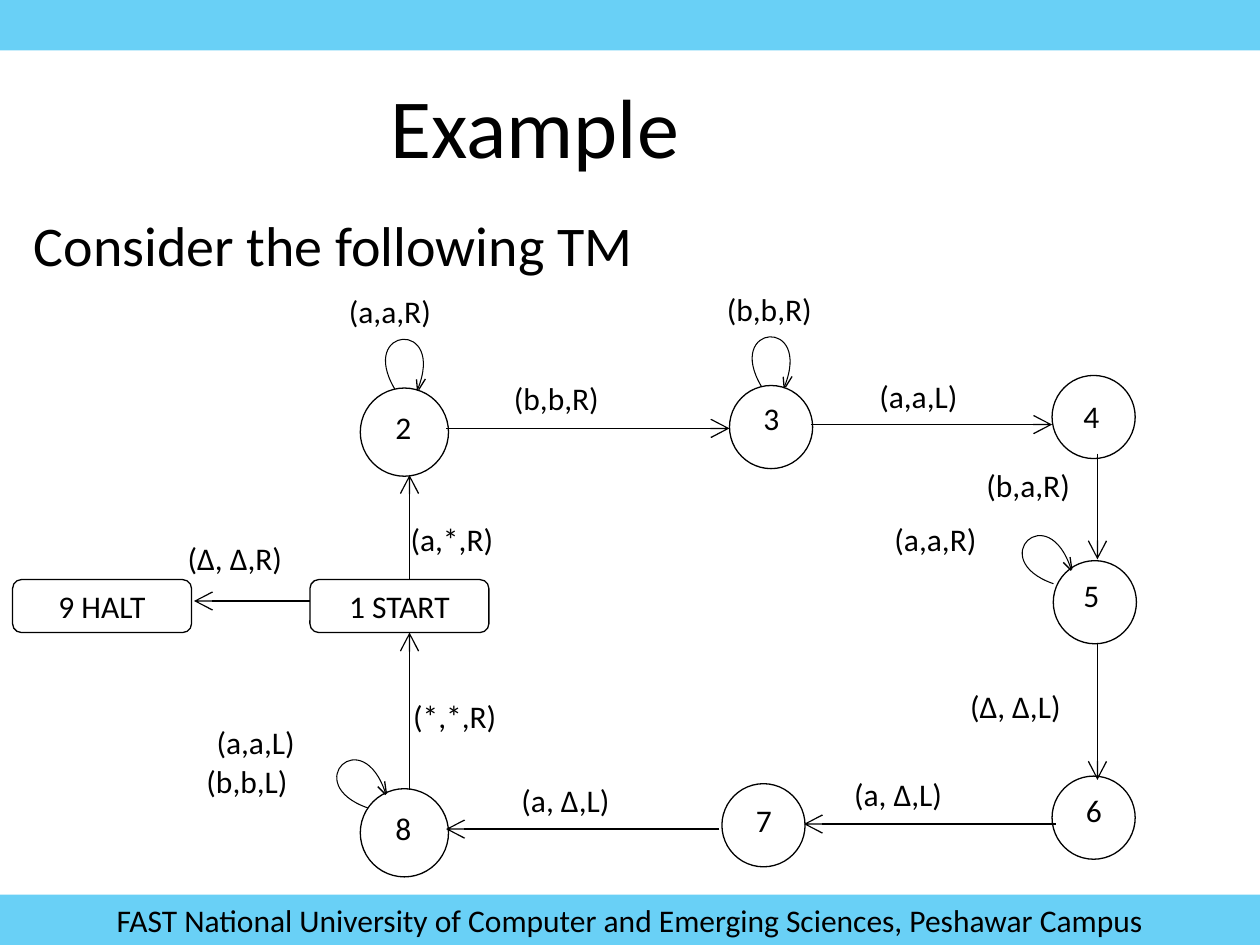
from lxml import etree
from pptx import Presentation
from pptx.dml.color import RGBColor
from pptx.enum import shapes, text
from pptx.oxml.ns import qn
from pptx.util import Inches, Pt

BLACK = RGBColor(0x00, 0x00, 0x00)
WHITE = RGBColor(0xFF, 0xFF, 0xFF)
SKY = RGBColor(0x00, 0xB0, 0xF0)
FONT = "Calibri"

# All diagram places are in inches from the diagram's top-left corner.
# States: number, circle left, top, diameter, number left, top
STATES = [
    ("2", 2.76, 0.83, 0.7, 2.94, 0.94),
    ("3", 5.69, 0.81, 0.66, 5.86, 0.87),
    ("4", 8.25, 0.73, 0.66, 8.4, 0.85),
    ("5", 8.26, 2.2, 0.66, 8.4, 2.27),
    ("6", 8.25, 3.91, 0.66, 8.42, 3.98),
    ("7", 5.63, 3.97, 0.66, 5.8, 4.06),
    ("8", 2.76, 4.01, 0.7, 2.94, 4.12),
]
TERMINALS = [("1 START", 2.36, 2.35), ("9 HALT", 0, 2.35)]

# Transitions: from x, y, to x, y
ARROWS = [
    (2.36, 2.52, 1.44, 2.52),
    (3.15, 2.35, 3.15, 1.52),
    (3.15, 4.02, 3.15, 2.77),
    (5.61, 4.33, 3.44, 4.33),
    (8.28, 4.29, 6.28, 4.29),
    (8.61, 2.85, 8.61, 3.94),
    (3.44, 1.15, 5.69, 1.15),
    (6.34, 1.12, 8.25, 1.12),
    (8.61, 1.35, 8.61, 2.19),
]
LABELS = [
    ("(∆, ∆,R)", 1.29, 1.98), ("(a,*,R)", 3.06, 1.83),
    ("(*,*,R)", 3.08, 3.23), ("(a,a,L)", 1.52, 3.44),
    ("(b,b,L)", 1.44, 3.75), ("(a, ∆,L)", 3.94, 3.9),
    ("(a, ∆,L)", 6.58, 3.85), ("(∆, ∆,L)", 7.5, 3.15),
    ("(a,a,R)", 6.9, 1.83), ("(b,a,R)", 7.63, 1.4),
    ("(a,a,L)", 6.78, 0.69), ("(b,b,R)", 5.57, 0),
    ("(b,b,R)", 3.88, 0.71), ("(a,a,R)", 2.57, 0.02),
]

# Self-loops: one curve and two arrowhead strokes, turned to fit the state
LOOP_CURVE = [(0.34, 0.59), (0, 0.12), (0.7, 0), (0.52, 0.58)]
HEAD_STROKES = [[(0, 0.08), (0.06, 0)], [(0, 0), (0, 0.09)]]
# Loop angle, head angle, offset of each head stroke
UPRIGHT = (5, 355, [(0.5, 0.51), (0.49, 0.51)])
TILTED = (325, 315, [(0.62, 0.34), (0.62, 0.36)])
LOOPS = [(UPRIGHT, 5.63, 0.23), (UPRIGHT, 2.72, 0.25),
         (TILTED, 2.31, 3.62), (TILTED, 7.75, 1.84)]


def add_text(sp, words, size, align=text.PP_ALIGN.LEFT, wrap=True,
             anchor=text.MSO_ANCHOR.TOP):
    tf = sp.text_frame
    tf.auto_size = text.MSO_AUTO_SIZE.NONE
    tf.word_wrap = wrap
    tf.vertical_anchor = anchor
    p = tf.paragraphs[0]
    p.alignment = align
    r = p.add_run()
    r.text = words
    r.font.size = Pt(size)
    r.font.name = FONT
    r.font.color.rgb = BLACK


def add_label(s, words, left, top, width, height, size=18):
    box = s.shapes.add_textbox(left, top, width, height)
    add_text(box, words, size)


def outline(sp, fill=None, width=0.75):
    sp.shadow.inherit = False
    if fill is None:
        sp.fill.background()
    else:
        sp.fill.solid()
        sp.fill.fore_color.rgb = fill
    sp.line.color.rgb = BLACK
    sp.line.width = Pt(width)


def add_bar(s, left, top, width, height, words=None):
    bar = s.shapes.add_shape(shapes.MSO_SHAPE.RECTANGLE, left, top, width, height)
    bar.shadow.inherit = False
    bar.fill.solid()
    bar.fill.fore_color.rgb = SKY
    color = bar._element.spPr.find(qn("a:solidFill"))[0]
    etree.SubElement(color, qn("a:alpha")).set("val", "59000")
    bar.line.fill.background()
    if words:
        add_text(bar, words, 18, text.PP_ALIGN.CENTER)


def add_title(s, words, left, top, width, height):
    title = s.shapes.title
    title.left, title.top, title.width, title.height = left, top, width, height
    add_text(title, words, 48)


def add_arrow(s, x1, y1, x2, y2):
    arrow = s.shapes.add_connector(shapes.MSO_CONNECTOR.STRAIGHT, x1, y1, x2, y2)
    arrow.line.color.rgb = BLACK
    arrow.line.width = Pt(0.75)
    sp_pr = arrow._element.spPr
    head = etree.SubElement(sp_pr.find(qn("a:ln")), qn("a:tailEnd"))
    for key, value in (("type", "arrow"), ("w", "lg"), ("len", "lg")):
        head.set(key, value)
    etree.SubElement(sp_pr, qn("a:effectLst"))


def add_path(s, points, left, top, angle, width=0.75):
    start, *rest = [(left + Inches(x), top + Inches(y)) for x, y in points]
    builder = s.shapes.build_freeform(*start)
    builder.add_line_segments(rest, close=False)
    sp = builder.convert_to_shape()
    outline(sp, width=width)
    sp.rotation = angle
    return sp


def bend(sp):
    """Turn the three segments of an open outline into one Bezier curve."""
    segments = list(sp._element.iter(qn("a:lnTo")))
    curve = etree.SubElement(segments[0].getparent(), qn("a:cubicBezTo"))
    for segment in segments:
        curve.append(segment[0])
        segment.getparent().remove(segment)


def add_loop(s, style, left, top):
    loop_angle, head_angle, offsets = style
    bend(add_path(s, LOOP_CURVE, left, top, loop_angle, 0.6))
    for stroke, (x, y) in zip(HEAD_STROKES, offsets):
        add_path(s, stroke, left + Inches(x), top + Inches(y), head_angle)


def add_diagram(s, left, top):
    def at(x, y):
        return left + Inches(x), top + Inches(y)

    # State circles
    for _, x, y, size, _, _ in STATES:
        circle = s.shapes.add_shape(shapes.MSO_SHAPE.OVAL, *at(x, y),
                                    Inches(size), Inches(size))
        outline(circle, WHITE)

    # Self-loops
    for style, x, y in LOOPS:
        add_loop(s, style, *at(x, y))

    # Start and halt boxes
    for words, x, y in TERMINALS:
        box = s.shapes.add_shape(shapes.MSO_SHAPE.ROUNDED_RECTANGLE, *at(x, y),
                                 Inches(1.42), Inches(0.42))
        outline(box)
        add_text(box, words, 18, text.PP_ALIGN.CENTER, False, text.MSO_ANCHOR.MIDDLE)

    # Transitions and their labels
    for x1, y1, x2, y2 in ARROWS:
        add_arrow(s, *at(x1, y1), *at(x2, y2))
    for words, x, y in LABELS:
        add_label(s, words, *at(x, y), Inches(1.71), Inches(0.46))

    # State numbers
    for number, _, _, _, x, y in STATES:
        add_label(s, number, *at(x, y), Inches(0.5), Inches(0.4))


def main():
    prs = Presentation()
    prs.slide_width, prs.slide_height = Inches(10), Inches(7.5)
    s = prs.slides.add_slide(prs.slide_layouts[5])

    # Header and footer bars
    add_bar(s, 0, 0, prs.slide_width, Inches(0.4))
    add_bar(s, 0, Inches(7.1), prs.slide_width, Inches(0.4),
            "FAST National University of Computer and Emerging Sciences, Peshawar Campus")

    # Heading and Turing machine
    add_title(s, "Example", Inches(3), Inches(0.54), Inches(5.25), Inches(0.9))
    add_diagram(s, Inches(0.1), Inches(2.25))
    add_label(s, "Consider the following TM", Inches(0.17), Inches(1.62),
              Inches(8.5), Inches(0.64), 32)
    prs.save("out.pptx")


if __name__ == "__main__":
    main()
